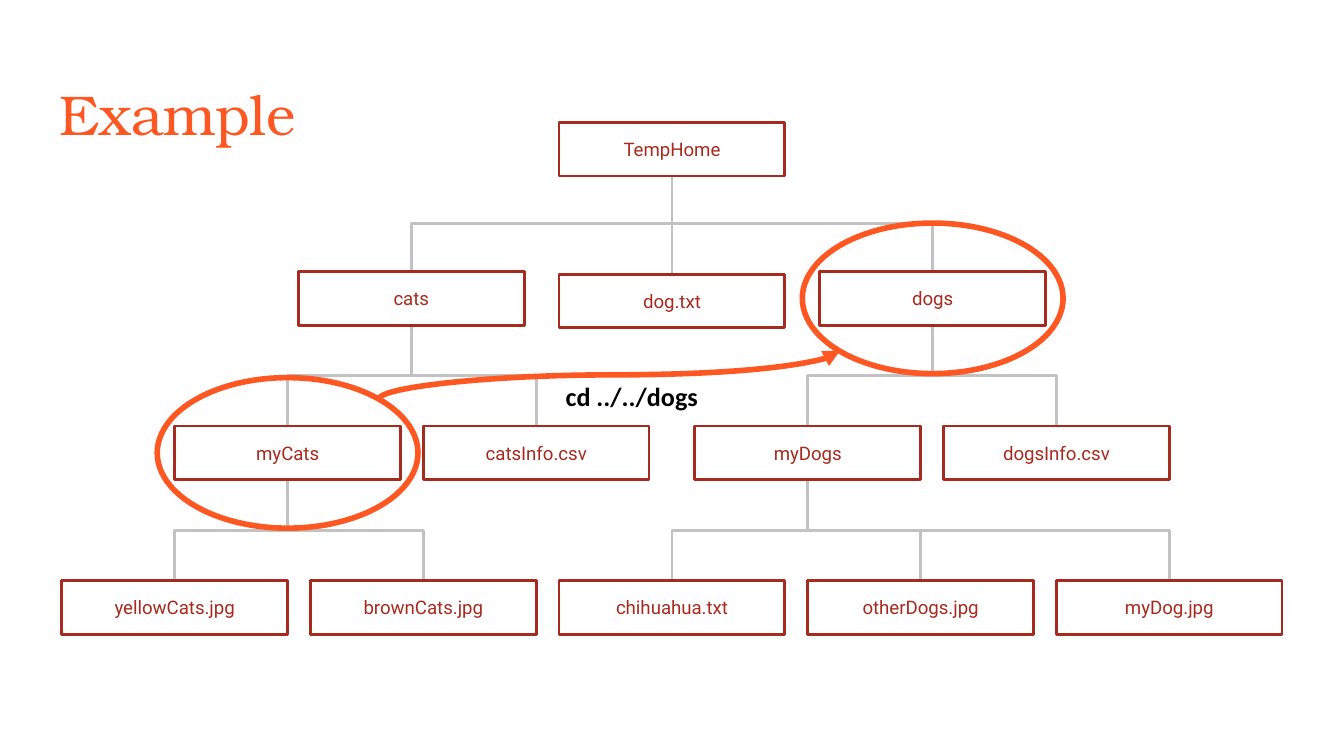
from pptx import Presentation
from pptx.dml.color import RGBColor
from pptx.enum.shapes import MSO_CONNECTOR, MSO_SHAPE
from pptx.enum.text import MSO_ANCHOR, PP_ALIGN
from pptx.oxml.ns import qn
from pptx.util import Inches, Pt
from lxml.etree import SubElement

HUES = {"title": "FF5722", "box": "A72A1E", "wire": "C2C2C2", "note": "000000"}
WIDE, HIGH = 1.68, 0.4


def style(frame, font, size, hue, bold=False):
    for run in frame.paragraphs[0].runs:
        run.font.name = font
        run.font.size = Pt(size)
        run.font.bold = bold
        run.font.color.rgb = RGBColor.from_string(HUES[hue])


def route(link, start, end, hue, width):
    """Turn a connector so that it leaves and arrives vertically."""
    (x1, y1), (x2, y2) = start, end
    long, across = abs(y2 - y1), abs(x2 - x1)
    link.left = Inches((x1 + x2 - long) / 2)
    link.top = Inches((y1 + y2 - across) / 2)
    link.width, link.height = Inches(long), Inches(across)
    frame = link._element.spPr.find(qn("a:xfrm"))
    for flip in ("flipH", "flipV"):
        frame.attrib.pop(flip, None)
    frame.set("rot", str((270 if x2 > x1 else 90) * 60000))
    if x2 > x1:
        frame.set("flipH", "1")
    link.line.color.rgb = RGBColor.from_string(HUES[hue])
    link.line.width = Pt(width)
    SubElement(link._element.spPr, qn("a:effectLst"))


# Widescreen slide, 16:9
deck = Presentation()
deck.slide_width, deck.slide_height = Inches(10), Inches(10 * 9 / 16)
slide = deck.slides.add_slide(deck.slide_layouts[5])
shapes = slide.shapes

# Title
title = shapes.title
title.left, title.top = Inches(0.34), Inches(0.49)
title.width, title.height = Inches(9.32), Inches(0.63)
frame = title.text_frame
frame.text = "Example"
frame.vertical_anchor = MSO_ANCHOR.TOP
frame.margin_top = frame.margin_bottom = Inches(0.1)
frame.paragraphs[0].alignment = PP_ALIGN.LEFT
style(frame, "TeX Gyre Bonum", 30, "title")

# Files and folders: name, parent, centre, top
tree = [
    ("TempHome", None, 5, 0.91),
    ("cats", "TempHome", 3.06, 2.02),
    ("dog.txt", "TempHome", 5, 2.04),
    ("dogs", "TempHome", 6.94, 2.02),
    ("myCats", "cats", 2.14, 3.17),
    ("catsInfo.csv", "cats", 3.99, 3.17),
    ("myDogs", "dogs", 6.01, 3.17),
    ("dogsInfo.csv", "dogs", 7.86, 3.17),
]
leaves = [
    ("yellowCats.jpg", "myCats"),
    ("brownCats.jpg", "myCats"),
    ("chihuahua.txt", "myDogs"),
    ("otherDogs.jpg", "myDogs"),
    ("myDog.jpg", "myDogs"),
]
tree += [(name, root, 1.3 + 1.85 * i, 4.32) for i, (name, root) in enumerate(leaves)]

boxes, spots = {}, {}
for name, root, mid, top in tree:
    box = shapes.add_shape(MSO_SHAPE.RECTANGLE, Inches(mid - WIDE / 2), Inches(top),
                           Inches(WIDE), Inches(HIGH))
    box.shadow.inherit = False
    box.fill.background()
    box.line.color.rgb = RGBColor.from_string(HUES["box"])
    box.line.width = Pt(1.5)
    box.text_frame.text = name
    box.text_frame.vertical_anchor = MSO_ANCHOR.MIDDLE
    box.text_frame.paragraphs[0].alignment = PP_ALIGN.CENTER
    style(box.text_frame, "Roboto", 10, "box")
    boxes[name], spots[name] = box, (mid, top)

# Branches, behind the boxes
for name, root, mid, top in tree:
    if root is None:
        continue
    start = (spots[root][0], spots[root][1] + HIGH)
    kind = MSO_CONNECTOR.STRAIGHT if mid == start[0] else MSO_CONNECTOR.ELBOW
    link = shapes.add_connector(kind, 0, 0, 0, 0)
    link.begin_connect(boxes[root], 2)
    link.end_connect(boxes[name], 0)
    if kind == MSO_CONNECTOR.ELBOW:
        route(link, start, (mid, top), "wire", 1.5)
    else:
        link.line.color.rgb = RGBColor.from_string(HUES["wire"])
        link.line.width = Pt(1.5)
        SubElement(link._element.spPr, qn("a:effectLst"))
    shapes._spTree.insert(2, link._element)

# Rings around the two folders
for name in ("dogs", "myCats"):
    mid, top = spots[name]
    ring = shapes.add_shape(MSO_SHAPE.OVAL, Inches(mid - 0.97), Inches(top + HIGH / 2 - 0.56),
                            Inches(1.94), Inches(1.12))
    ring.shadow.inherit = False
    ring.fill.background()
    ring.line.color.rgb = RGBColor.from_string(HUES["title"])
    ring.line.width = Pt(3)

# Curved arrow, with its head at the dogs end
curve = shapes.add_connector(MSO_CONNECTOR.CURVE, 0, 0, 0, 0)
route(curve, (6.25, 2.61), (2.82, 2.97), "title", 3)
SubElement(curve.line._get_or_add_ln(), qn("a:headEnd"), type="triangle")

# Command
note = shapes.add_textbox(Inches(4.11), Inches(2.73), Inches(1.78), Inches(0.44))
frame = note.text_frame
frame.word_wrap = True
frame.margin_top = frame.margin_bottom = Inches(0.1)
frame.text = "cd ../../dogs"
style(frame, "Calibri", 14, "note", True)

deck.save("out.pptx")
